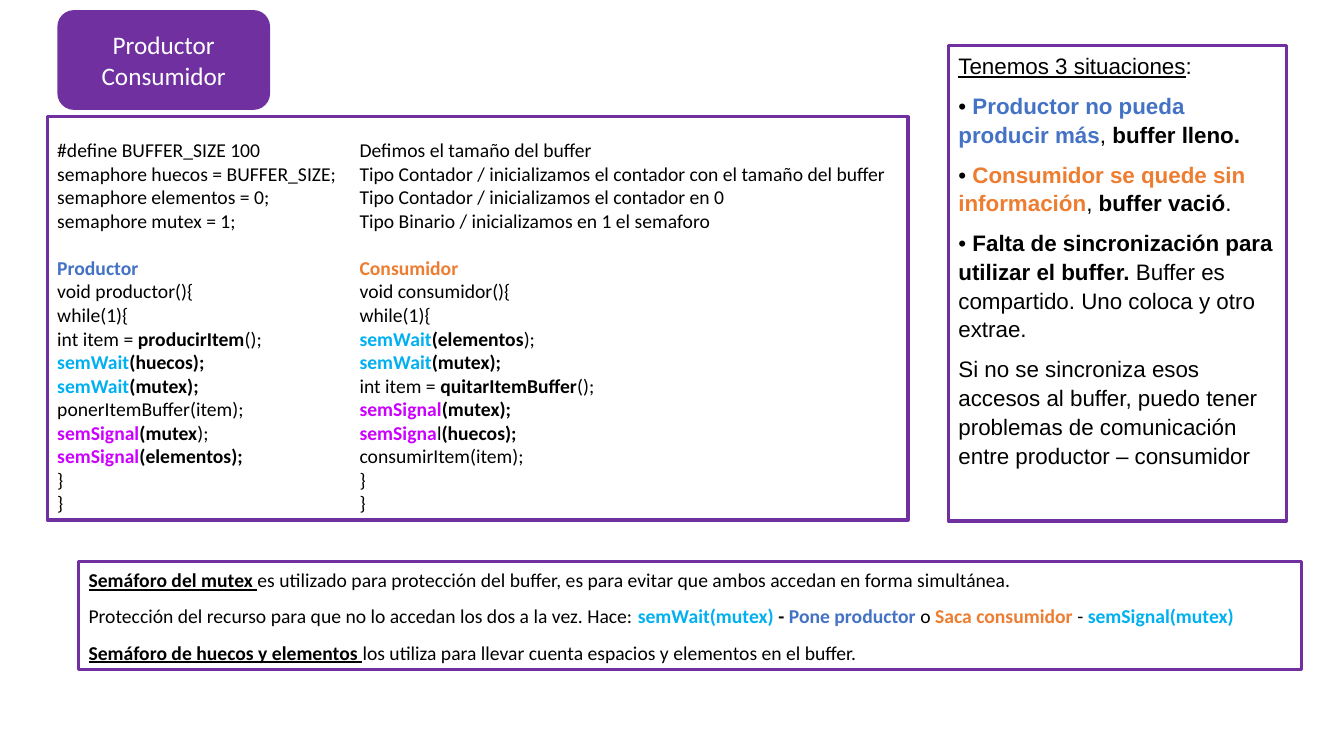
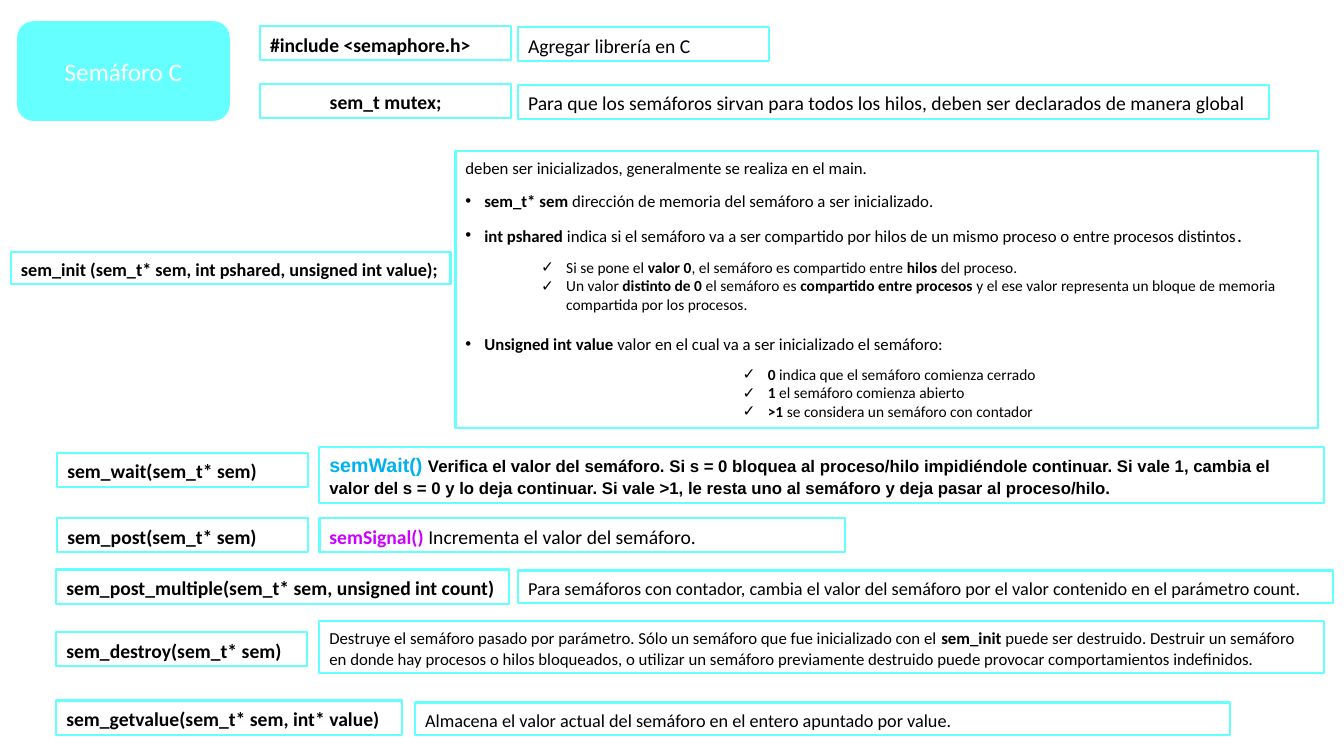
from pptx import Presentation
from pptx.dml.color import RGBColor
from pptx.enum.shapes import MSO_SHAPE as Preset
from pptx.enum.text import MSO_ANCHOR as Anchor, PP_ALIGN as Align
from pptx.oxml.ns import qn
from pptx.util import Pt
from lxml.etree import SubElement

COLORS = {
    "black": "000000",
    "white": "FFFFFF",
    "purple": "7030A0",
    "aqua": "66FFFF",
    "blue": "4472C4",
    "orange": "ED7D31",
    "sky": "00B0F0",
    "magenta": "CC00FF",
}


def add_box(shapes, left, top, width, height, fill=None, line=None, weight=1.5,
            preset=Preset.RECTANGLE, anchor=Anchor.TOP):
    shape = shapes.add_shape(preset, Pt(left), Pt(top), Pt(width), Pt(height))
    shape.shadow.inherit = False
    if fill:
        shape.fill.solid()
        shape.fill.fore_color.rgb = RGBColor.from_string(COLORS[fill])
    else:
        shape.fill.background()
    if line:
        shape.line.color.rgb = RGBColor.from_string(COLORS[line])
        shape.line.width = Pt(weight)
    else:
        shape.line.fill.background()
    shape.text_frame.vertical_anchor = anchor
    shape.text_frame.word_wrap = True
    return shape


def add_text(shape, *runs, size=14, font="Calibri", color="black", align=Align.LEFT,
             spacing=1.07, before=0, after=8, level=0, bullet=None, margin=0, hanging=0):
    frame = shape.text_frame
    paragraph = frame.add_paragraph() if frame.text else frame.paragraphs[0]
    paragraph.alignment = align
    paragraph.line_spacing = spacing
    paragraph.space_before = Pt(before)
    paragraph.space_after = Pt(after)
    paragraph.level = level
    if bullet:
        properties = paragraph._p.get_or_add_pPr()
        properties.set("marL", str(Pt(margin)))
        properties.set("indent", str(-Pt(hanging)))
        SubElement(properties, qn("a:buFont")).set("typeface", "Arial")
        SubElement(properties, qn("a:buChar")).set("char", bullet)
    for item in runs:
        text, style = (item, "") if isinstance(item, str) else item
        words = style.split()
        run = paragraph.add_run()
        run.text = text
        run.font.name = font
        run.font.size = Pt(next((int(word) for word in words if word.isdigit()), size))
        run.font.bold = "bold" in words
        run.font.underline = "underline" in words
        run_color = next((word for word in words if word in COLORS), color)
        run.font.color.rgb = RGBColor.from_string(COLORS[run_color])


presentation = Presentation()
presentation.slide_width = Pt(960)
presentation.slide_height = Pt(540)
blank_layout = presentation.slide_layouts[6]
producer_slide, semaphore_slide = [presentation.slides.add_slide(blank_layout) for _ in range(2)]

titles = [
    (producer_slide, 41, 7.2, "purple", "Productor Consumidor"),
    (semaphore_slide, 12.2, 15.1, "aqua", "Semáforo C"),
]
for slide, left, top, fill, title in titles:
    title_box = add_box(slide.shapes, left, top, 152, 71.3, fill=fill,
                        preset=Preset.ROUNDED_RECTANGLE, anchor=Anchor.MIDDLE)
    add_text(title_box, title, size=18, color="white", align=Align.CENTER, spacing=1, after=0)

wait = ("semWait", "bold sky")
signal = ("semSignal", "bold magenta")
declarations = [
    ["#define BUFFER_SIZE 100"],
    ["semaphore huecos = BUFFER_SIZE;"],
    ["semaphore elementos = 0;"],
    ["semaphore mutex = 1;"],
]
producer_code = [
    [("Productor", "bold blue")],
    ["void productor(){"],
    ["while(1){"],
    ["int item = ", ("producirItem", "bold"), "();"],
    [wait, ("(huecos);", "bold")],
    [wait, ("(mutex);", "bold")],
    ["ponerItemBuffer(item);"],
    [signal, ("(mutex", "bold"), ");"],
    [signal, ("(elementos);", "bold")],
    ["}"],
    ["}"],
]
explanations = [
    ["Defimos el tamaño del buffer"],
    ["Tipo Contador / inicializamos el contador con el tamaño del buffer"],
    ["Tipo Contador / inicializamos el contador en 0"],
    ["Tipo Binario / inicializamos en 1 el semaforo"],
]
consumer_code = [
    [("Consumidor", "bold orange")],
    ["void consumidor(){"],
    ["while(1){"],
    [wait, ("(elementos", "bold"), ");"],
    [wait, ("(mutex);", "bold")],
    ["int item = ", ("quitarItemBuffer", "bold"), "();"],
    [signal, ("(mutex);", "bold")],
    [("semSigna", "bold magenta"), "l", ("(huecos);", "bold")],
    ["consumirItem(item);"],
    ["}"],
    ["}"],
]
code_group = producer_slide.shapes.add_group_shape().shapes
columns = [
    (249.8, 398.9, explanations, consumer_code),
    (33.8, 277.2, declarations, producer_code),
]
for left, width, header, code in columns:
    column = code_group.add_textbox(Pt(left), Pt(95), Pt(width), Pt(278.6))
    column.text_frame.word_wrap = True
    for runs in header + code:
        add_text(column, *runs, spacing=1, after=0, before=17 if runs is code[0] else 0)
add_box(code_group, 33.8, 83.5, 614.9, 288, line="purple", weight=2.25)

situations = add_box(producer_slide.shapes, 677.5, 32.4, 241.2, 339.8, "white", "purple", 2.25)
for runs in [
    [("Tenemos 3 situaciones", "underline"), ":"],
    ["• ", ("Productor no pueda producir más", "bold blue"), ", ", ("buffer lleno.", "bold")],
    ["• ", ("Consumidor se quede sin información", "bold orange"), ", ",
     ("buffer vació", "bold"), "."],
    ["• ", ("Falta de sincronización para utilizar el buffer. ", "bold"),
     "Buffer es compartido. Uno coloca y otro extrae."],
    ["Si no se sincroniza esos accesos al buffer, puedo tener problemas de comunicación "
     "entre productor – consumidor"],
]:
    add_text(situations, *runs, size=16, font="Arial")

summary = add_box(producer_slide.shapes, 56.2, 401, 873.4, 77, "white", "purple", 2.25)
for runs in [
    [("Semáforo del mutex ", "bold underline"),
     "es utilizado para protección del buffer, es para evitar que ambos accedan en forma "
     "simultánea."],
    ["Protección del recurso para que no lo accedan los dos a la vez. Hace: ",
     ("semWait(mutex) ", "bold sky"), ("- ", "bold"), ("Pone productor ", "bold blue"), "o ",
     ("Saca consumidor ", "bold orange"), "- ", ("semSignal(mutex)", "bold sky")],
    [("Semáforo de huecos y elementos ", "bold underline"),
     "los utiliza para llevar cuenta espacios y elementos en el buffer."],
]:
    add_text(summary, *runs)

functions = [
    (185.8, 18.7, 179.3, "#include <semaphore.h>", {}),
    (185.8, 59.8, 179.3, "sem_t mutex;", {"align": Align.CENTER}),
    (7.9, 180, 313.9, "sem_init (sem_t* sem, int pshared, unsigned int value);", {"size": 13}),
    (41, 323.3, 179.3, "sem_wait(sem_t* sem)", {}),
    (41, 370.1, 179.3, "sem_post(sem_t* sem)", {}),
    (40.3, 406.8, 323.3, "sem_post_multiple(sem_t* sem, unsigned int count)", {}),
    (40.3, 451.4, 179.3, "sem_destroy(sem_t* sem)", {}),
    (40.3, 500.4, 247, "sem_getvalue(sem_t* sem, int* value)", {}),
]
for left, top, width, signature, options in functions:
    height = 23 if "size" in options else 24.5
    function_box = add_box(semaphore_slide.shapes, left, top, width, height, "white", "aqua")
    add_text(function_box, (signature, "bold"), **options)

descriptions = [
    (370.1, 19.4, 179.3, 24.5, ["Agregar librería en C"], {}),
    (370.1, 60.5, 536.4, 24.5,
     ["Para que los semáforos sirvan para todos los hilos, deben ser declarados de manera "
      "global"], {}),
    (228.2, 319, 717.8, 40.3,
     [("semWait() ", "bold sky 14"),
      ("Verifica el valor del semáforo. Si s = 0 bloquea al proceso/hilo impidiéndole "
       "continuar. Si vale 1, cambia el valor del s = 0 y lo deja continuar. Si vale >1, le "
       "resta uno al semáforo y deja pasar al proceso/hilo.", "bold")],
     {"size": 12, "font": "Arial"}),
    (228.2, 370.1, 375.1, 24.5,
     [("semSignal() ", "bold magenta"), "Incrementa el valor del semáforo."], {}),
    (370.1, 407.5, 581.8, 23,
     ["Para semáforos con contador, cambia el valor del semáforo por el valor contenido en el "
      "parámetro count."], {"size": 13}),
    (228.2, 443.5, 717.8, 37.4,
     ["Destruye el semáforo pasado por parámetro. Sólo un semáforo que fue inicializado con el ",
      ("sem_init ", "bold"),
      "puede ser destruido. Destruir un semáforo en donde hay procesos o hilos bloqueados, o "
      "utilizar un semáforo previamente destruido puede provocar comportamientos indefinidos."],
     {"size": 12}),
    (296.6, 501.8, 581.8, 23,
     ["Almacena el valor actual del semáforo en el entero apuntado por value."], {"size": 13}),
]
for left, top, width, height, runs, options in descriptions:
    description_box = add_box(semaphore_slide.shapes, left, top, width, height, "white", "aqua")
    add_text(description_box, *runs, **options)

parameter = {"size": 12, "bullet": "•", "margin": 13.5, "hanging": 13.5}
check = {"size": 11, "bullet": "✓", "hanging": 18, "spacing": 1, "after": 0}
pshared_check = {**check, "level": 2, "margin": 72}
value_check = {**check, "level": 6, "margin": 216}
init_box = add_box(semaphore_slide.shapes, 325.4, 108, 616.3, 198, "white", "aqua")
for runs, options in [
    (["deben ser inicializados, generalmente se realiza en el main."], {"size": 12}),
    ([("sem_t* sem ", "bold"), "dirección de memoria del semáforo a ser inicializado."],
     parameter),
    ([("int pshared ", "bold"),
      "indica si el semáforo va a ser compartido por hilos de un mismo proceso o entre procesos "
      "distintos", (".", "14")], parameter),
    (["Si se pone el ", ("valor 0", "bold"), ", el semáforo es compartido entre ",
      ("hilos ", "bold"), "del proceso."], pshared_check),
    (["Un valor ", ("distinto de 0 ", "bold"), "el semáforo es ",
      ("compartido entre procesos ", "bold"),
      "y el ese valor representa un bloque de memoria compartida por los procesos."],
     pshared_check),
    ([("Unsigned int value ", "bold"), "valor en el cual va a ser inicializado el semáforo:"],
     {**parameter, "before": 13.4}),
    ([("0", "bold"), " indica que el semáforo comienza cerrado"], value_check),
    ([("1", "bold"), " el semáforo comienza abierto"], value_check),
    ([(">1 ", "bold"), "se considera un semáforo con contador"], value_check),
]:
    add_text(init_box, *runs, **options)

presentation.save("out.pptx")
